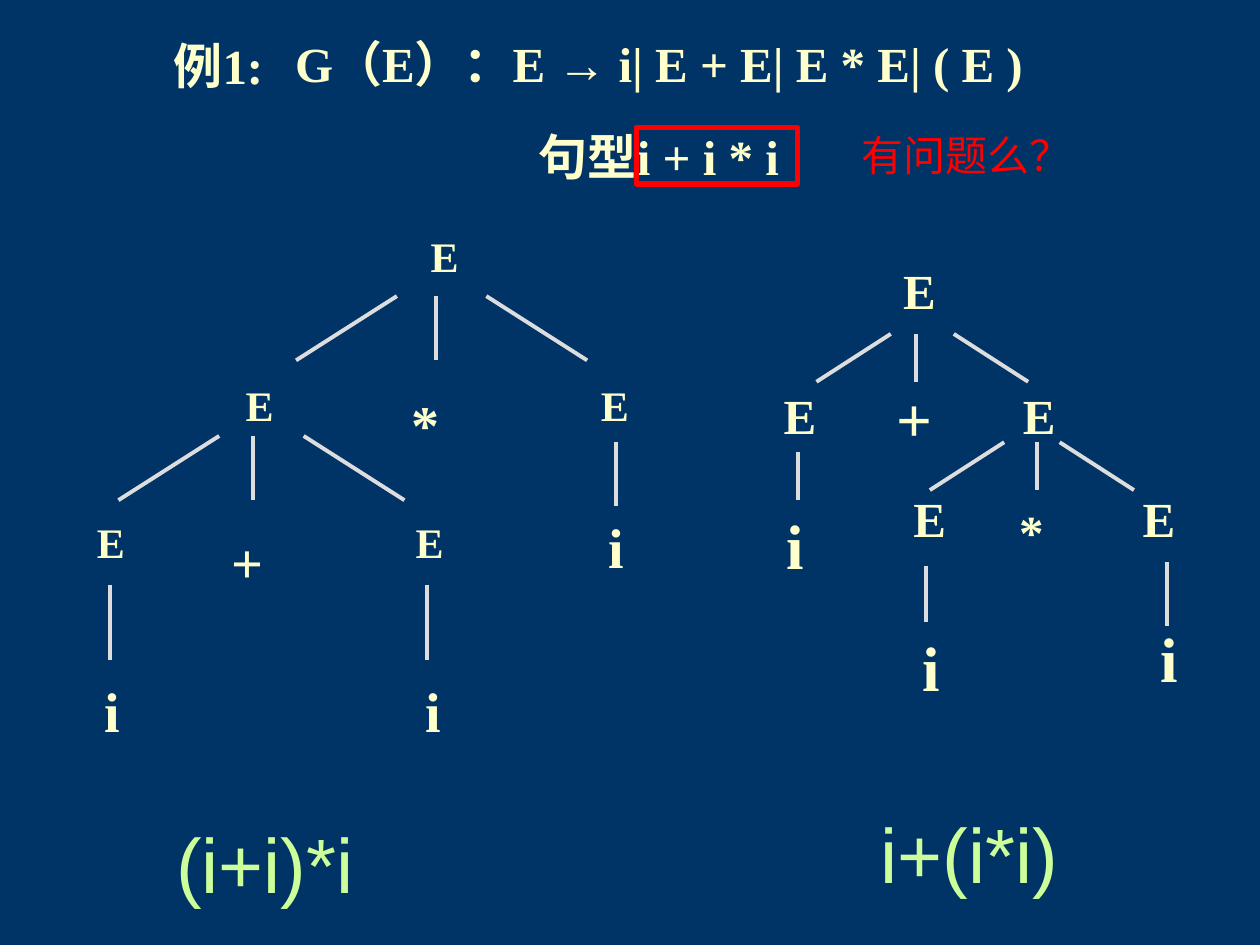
from dataclasses import dataclass

from lxml import etree
from pptx import Presentation
from pptx.dml.color import RGBColor
from pptx.enum.shapes import MSO_CONNECTOR, MSO_SHAPE
from pptx.enum.text import MSO_ANCHOR, MSO_AUTO_SIZE, PP_ALIGN
from pptx.oxml.ns import qn
from pptx.util import Inches, Pt

LINE = MSO_CONNECTOR.STRAIGHT
RECT = MSO_SHAPE.RECTANGLE
MIDDLE = MSO_ANCHOR.MIDDLE
FIXED = MSO_AUTO_SIZE.NONE
CENTER = PP_ALIGN.CENTER


@dataclass(frozen=True)
class Theme:
    back: str = "003366"
    cream: str = "FFFFCC"
    edge: str = "DDDDDD"
    lime: str = "CCFF99"
    red: str = "FF0000"
    serif: str = "Times New Roman"
    sans: str = "Arial"
    han: str = "Noto Sans CJK SC"
    small: int = 24
    head: int = 28
    large: int = 32
    leaf: int = 36
    result: int = 44


class Board:
    """Draws styled elements on the current slide."""

    def __init__(self, theme, slide):
        self.theme = theme
        self.slide = slide
        fill = slide.background.fill
        fill.solid()
        fill.fore_color.rgb = RGBColor.from_string(theme.back)

    def style(self, run, size, color, face, bold):
        font = run.font
        font.size = Pt(size)
        font.bold = bold
        font.name = face
        font.color.rgb = RGBColor.from_string(color)
        east = etree.SubElement(run._r.get_or_add_rPr(), qn("a:ea"))
        east.set("typeface", self.theme.han)

    def title(self, lines, box, gap):
        shape = self.slide.shapes.title
        shape.left, shape.top, shape.width, shape.height = map(Inches, box)
        frame = shape.text_frame
        frame.auto_size = FIXED
        frame.vertical_anchor = MIDDLE
        for index, parts in enumerate(lines):
            para = frame.add_paragraph() if index else frame.paragraphs[0]
            para.alignment = CENTER
            para.line_spacing = 0.85
            para.space_before = Pt(gap if index else 0)
            for text, face in parts:
                run = para.add_run()
                run.text = text
                self.style(run, self.theme.head, self.theme.cream, face, True)

    def label(self, text, box, size, color, face, bold=False, wrap=True, host=None):
        shape = (host or self.slide).shapes.add_textbox(*map(Inches, box))
        frame = shape.text_frame
        frame.word_wrap = wrap
        frame.text = text
        self.style(frame.paragraphs[0].runs[0], size, color, face, bold)

    def edge(self, ends, host):
        line = host.shapes.add_connector(LINE, *map(Inches, ends))
        line.line.color.rgb = RGBColor.from_string(self.theme.edge)
        line.line.width = Pt(2.25)
        etree.SubElement(line._element.spPr, qn("a:effectLst"))

    def frame(self, box):
        shape = self.slide.shapes.add_shape(RECT, *map(Inches, box))
        shape.shadow.inherit = False
        shape.fill.background()
        shape.line.color.rgb = RGBColor.from_string(self.theme.red)
        shape.line.width = Pt(3)

    def tree(self, nodes, edges):
        group = self.slide.shapes.add_group_shape()
        for ends in edges:
            self.edge(ends, group)
        for text, left, top, width, size in nodes:
            box = left, top, width, size / 60 + 0.1
            self.label(text, box, size, self.theme.cream, self.theme.serif,
                       bold=True, host=group)


def fork(left, mid, right, top, drop, span):
    """Return the three edges from a parent to its children."""
    low = top + drop
    return [(left, top, left - span, low), (mid, top, mid, low),
            (right, top, right + span, low)]


def stem(x, top, drop):
    """Return the edge from a node down to its leaf."""
    return x, top, x, top + drop


def main():
    theme = Theme()
    deck = Presentation()
    deck.slide_width, deck.slide_height = Inches(10), Inches(7.5)
    board = Board(theme, deck.slides.add_slide(deck.slide_layouts[5]))
    small, head, large, leaf = theme.small, theme.head, theme.large, theme.leaf

    board.title(
        [[("G（E）：E ", theme.serif), ("→", theme.sans),
          (" i| E + E| E * E| ( E )", theme.serif)],
         [("句型i + i * i", theme.serif)]],
        (0.98, 0.28, 8.5, 1.25), 24)

    board.tree(
        [("E", 7.07, 2.02, 0.79, head), ("E", 6.12, 3.01, 0.79, head),
         ("+", 7.02, 2.96, 0.79, leaf), ("E", 8.02, 3.01, 0.69, head),
         ("E", 7.15, 3.83, 0.49, head), ("*", 7.99, 3.93, 0.59, head),
         ("E", 8.97, 3.83, 0.89, head), ("i", 6.14, 3.97, 0.39, leaf),
         ("i", 7.22, 4.94, 0.49, leaf), ("i", 9.11, 4.87, 0.89, leaf)],
        fork(7.07, 7.27, 7.57, 2.65, 0.38, 0.59)
        + fork(7.97, 8.23, 8.41, 3.51, 0.38, 0.59)
        + [stem(6.33, 3.59, 0.38), stem(7.35, 4.49, 0.45),
           stem(9.26, 4.46, 0.51)])

    board.tree(
        [("E", 3.32, 1.78, 1.07, small), ("E", 1.85, 2.96, 0.81, small),
         ("*", 3.17, 3.04, 0.7, large), ("E", 4.67, 2.96, 0.67, small),
         ("E", 0.67, 4.05, 0.67, small), ("+", 1.74, 4.14, 1.07, large),
         ("E", 3.2, 4.05, 0.69, small), ("i", 4.73, 4.02, 0.54, large),
         ("i", 0.73, 5.32, 0.81, large), ("i", 3.28, 5.32, 0.54, large)],
        fork(3.15, 3.46, 3.86, 2.35, 0.51, 0.8)
        + fork(1.74, 2.01, 2.41, 3.46, 0.51, 0.8)
        + [stem(4.89, 3.51, 0.51), stem(0.87, 4.64, 0.6),
           stem(3.39, 4.64, 0.6)])

    for text, left, top in (("(i+i)*i", 1.3, 6.43), ("i+(i*i)", 6.89, 6.35)):
        board.label(text, (left, top, 1.61, 0.84), theme.result,
                    theme.lime, theme.sans, wrap=False)
    board.label("例1:", (1.28, 0.23, 1, 0.57), head, theme.cream,
                theme.serif, bold=True, wrap=False)
    board.frame((5.05, 1.01, 1.28, 0.45))
    board.label("有问题么？", (6.74, 0.98, 2.25, 0.5), small, theme.red, theme.han)
    deck.save("out.pptx")


if __name__ == "__main__":
    main()
